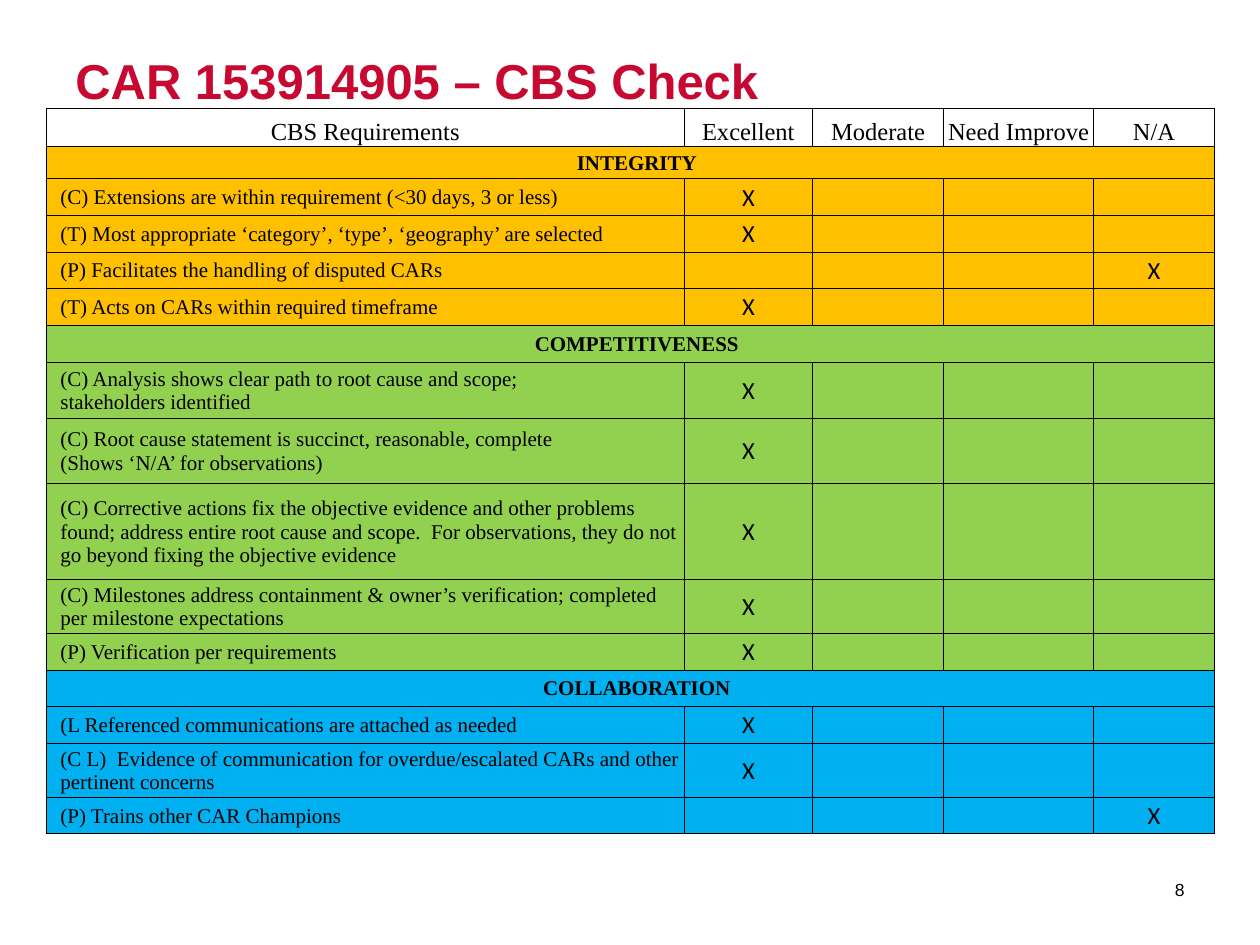
from lxml import etree
from pptx import Presentation
from pptx.dml.color import RGBColor
from pptx.enum.text import MSO_ANCHOR, PP_ALIGN
from pptx.oxml.ns import qn
from pptx.util import Inches, Pt

LEFT, CENTER, RIGHT = PP_ALIGN.LEFT, PP_ALIGN.CENTER, PP_ALIGN.RIGHT
TOP, MIDDLE, BOTTOM = MSO_ANCHOR.TOP, MSO_ANCHOR.MIDDLE, MSO_ANCHOR.BOTTOM

COLORS = {
    "title": "C70932",
    "text": "000000",
    "integrity": "FFC000",
    "competitiveness": "92D050",
    "collaboration": "00B0F0",
}
SERIF, SANS, MARK_FONT = "Times New Roman", "Arial", "Calibri"

TITLE = "CAR 153914905 – CBS Check"
PAGE_NUMBER = "8"
HEADERS = ["CBS Requirements", "Excellent", "Moderate", "Need Improve", "N/A"]
EXCELLENT, NOT_APPLICABLE = 1, 4

# Section: name, row height, requirements (text, marked column, row height)
SECTIONS = [
    ("INTEGRITY", 0.26, [
        ("(C) Extensions are within requirement (<30 days, 3 or less)", EXCELLENT, 0.29),
        ("(T) Most appropriate ‘category’, ‘type’, ‘geography’ are selected", EXCELLENT, 0.29),
        ("(P) Facilitates the handling of disputed CARs", NOT_APPLICABLE, 0.29),
        ("(T) Acts on CARs within required timeframe", EXCELLENT, 0.29),
    ]),
    ("COMPETITIVENESS", 0.3, [
        ("(C) Analysis shows clear path to root cause and scope;\n"
         "stakeholders identified", EXCELLENT, 0.44),
        ("(C) Root cause statement is succinct, reasonable, complete\n"
         "(Shows ‘N/A’ for observations)", EXCELLENT, 0.52),
        ("(C) Corrective actions fix the objective evidence and other problems found; "
         "address entire root cause and scope.  For observations, they do not go beyond "
         "fixing the objective evidence", EXCELLENT, 0.76),
        ("(C) Milestones address containment & owner’s verification; completed per "
         "milestone expectations", EXCELLENT, 0.43),
        ("(P) Verification per requirements", EXCELLENT, 0.29),
    ]),
    ("COLLABORATION", 0.29, [
        ("(L Referenced communications are attached as needed", EXCELLENT, 0.29),
        ("(C L)  Evidence of communication for overdue/escalated CARs and other "
         "pertinent concerns", EXCELLENT, 0.43),
        ("(P) Trains other CAR Champions", NOT_APPLICABLE, 0.29),
    ]),
]

TABLE_LEFT, TABLE_TOP = 0.37, 0.86
COLUMN_WIDTHS = [5.06, 1.02, 1.04, 1.19, 0.96]
HEADER_HEIGHT = 0.3
INDENT = 0.1
INNER_LINE, OUTER_LINE = 0.5, 1


def format_text(text_frame, size, font, align, bold=False, color="text", indent=0):
    for paragraph in text_frame.paragraphs:
        paragraph.alignment = align
        if indent:
            paragraph._p.get_or_add_pPr().set("marL", str(Inches(indent)))
        for run in paragraph.runs:
            run.font.size = Pt(size)
            run.font.name = font
            run.font.bold = bold
            run.font.color.rgb = RGBColor.from_string(COLORS[color])


def add_text(slide, text, box, size, align, anchor, margin_top=0.05, **style):
    shape = slide.shapes.add_textbox(*(Inches(value) for value in box))
    text_frame = shape.text_frame
    text_frame.word_wrap = True
    text_frame.vertical_anchor = anchor
    text_frame.margin_top = Inches(margin_top)
    text_frame.text = text
    format_text(text_frame, size, SANS, align, **style)


def set_borders(cell, widths):
    """Draw solid borders; widths are in points for left, right, top, bottom."""
    properties = cell._tc.get_or_add_tcPr()
    for position, (side, width) in enumerate(zip(("lnL", "lnR", "lnT", "lnB"), widths)):
        line = etree.Element(qn(f"a:{side}"), w=str(Pt(width)))
        fill = etree.SubElement(line, qn("a:solidFill"))
        etree.SubElement(fill, qn("a:srgbClr"), val=COLORS["text"])
        properties.insert(position, line)


def fill_cell(cell, text, size, font, align, anchor=MIDDLE, **style):
    cell.margin_left = cell.margin_right = cell.margin_top = Inches(0.01)
    cell.margin_bottom = 0
    cell.vertical_anchor = anchor
    if text:
        cell.text_frame.text = text
        format_text(cell.text_frame, size, font, align, **style)
    else:
        # An empty cell needs a small end mark so that it does not stretch its row
        paragraph = cell.text_frame.paragraphs[0]
        etree.SubElement(paragraph._p, qn("a:endParaRPr"), sz=str(size * 100))


def add_check_table(slide):
    heights = [HEADER_HEIGHT]
    for _, section_height, requirements in SECTIONS:
        heights += [section_height] + [height for _, _, height in requirements]
    frame = slide.shapes.add_table(
        len(heights), len(COLUMN_WIDTHS), Inches(TABLE_LEFT), Inches(TABLE_TOP),
        Inches(sum(COLUMN_WIDTHS)), Inches(sum(heights)))
    table = frame.table
    table.first_row = table.horz_banding = False
    for column, width in zip(table.columns, COLUMN_WIDTHS):
        column.width = Inches(width)
    for row, height in zip(table.rows, heights):
        row.height = Inches(height)

    last_row, last_column = len(heights) - 1, len(COLUMN_WIDTHS) - 1
    for column, header in enumerate(HEADERS):
        cell = table.cell(0, column)
        fill_cell(cell, header, 14, SERIF, CENTER, BOTTOM)
        cell.fill.background()

    section_rows = []
    row = 1
    for name, _, requirements in SECTIONS:
        section_rows.append(row)
        heading = table.cell(row, 0)
        heading.merge(table.cell(row, last_column))
        fill_cell(heading, name, 12, SERIF, CENTER, bold=True, indent=INDENT)
        for offset, (text, marked, _) in enumerate(requirements, 1):
            fill_cell(table.cell(row + offset, 0), text, 12, SERIF, LEFT, indent=INDENT)
            for column in range(1, last_column + 1):
                mark = "X" if column == marked else ""
                fill_cell(table.cell(row + offset, column), mark, 14, MARK_FONT, CENTER)
        for section_row in range(row, row + len(requirements) + 1):
            for column in range(last_column + 1):
                fill = table.cell(section_row, column).fill
                fill.solid()
                fill.fore_color.rgb = RGBColor.from_string(COLORS[name.lower()])
        row += len(requirements) + 1

    for row in range(last_row + 1):
        for column in range(last_column + 1):
            at_right = column == last_column or row in section_rows
            outer = (column == 0, at_right, row == 0, row == last_row)
            set_borders(table.cell(row, column),
                        [OUTER_LINE if edge else INNER_LINE for edge in outer])


def main():
    presentation = Presentation()
    presentation.slide_width, presentation.slide_height = Inches(10), Inches(7.5)
    slide = presentation.slides.add_slide(presentation.slide_layouts[6])
    add_text(slide, TITLE, (0.5, 0.3, 9, 1.25), 28, LEFT, TOP,
             margin_top=0.1, bold=True, color="title")
    add_text(slide, PAGE_NUMBER, (8.8, 6.86, 0.7, 0.4), 10, RIGHT, MIDDLE)
    add_check_table(slide)
    presentation.save("out.pptx")


if __name__ == "__main__":
    main()
